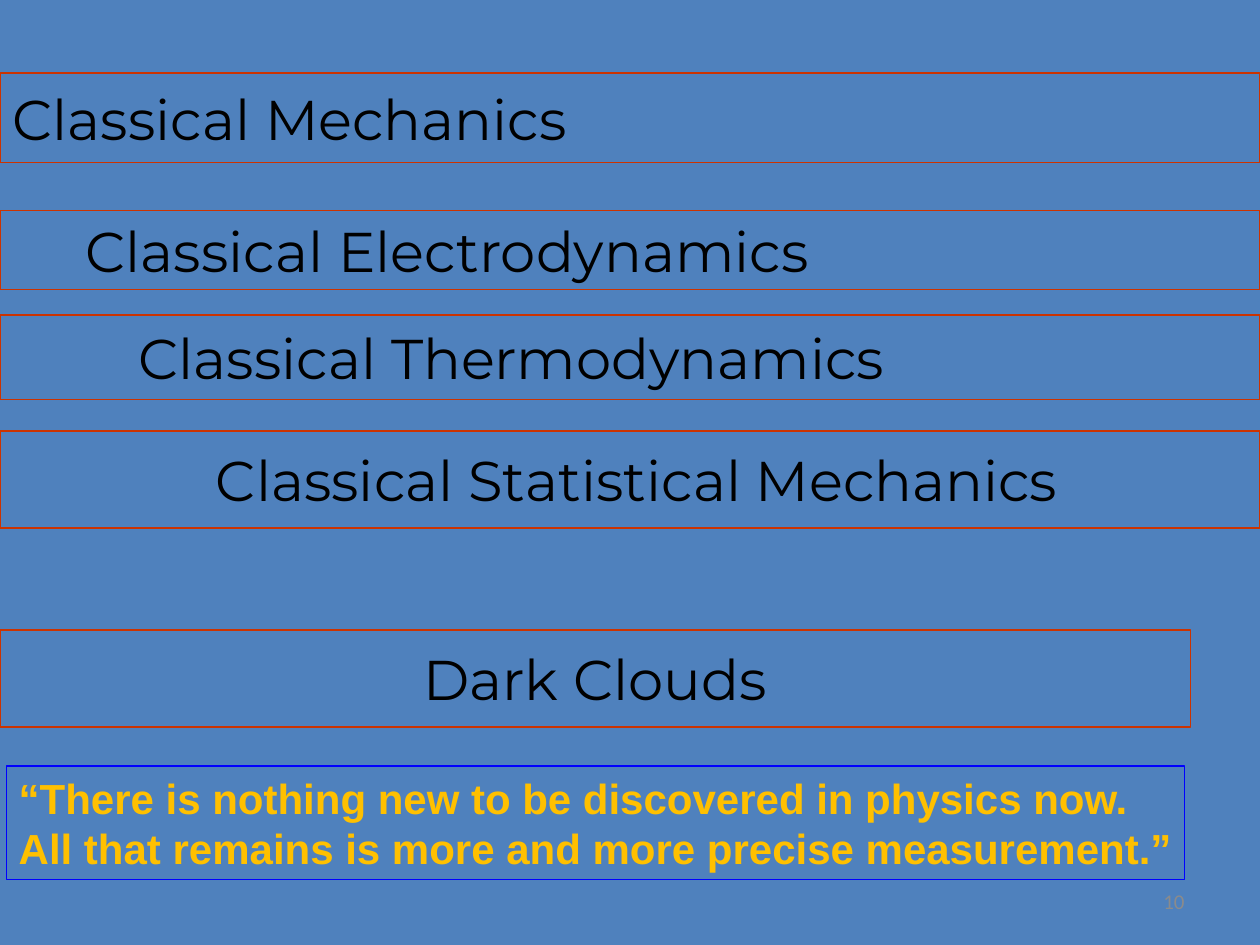
from pptx import Presentation
from pptx.dml.color import RGBColor
from pptx.enum.shapes import MSO_SHAPE
from pptx.enum.text import MSO_ANCHOR, MSO_AUTO_SIZE, PP_ALIGN
from pptx.util import Inches, Pt

COLORS = {"blue": "4F81BD", "red": "CC3300", "black": "000000",
          "frame": "0000FF", "gold": "FFC000", "gray": "8B8B8B"}
LEFT, CENTER, RIGHT = PP_ALIGN.LEFT, PP_ALIGN.CENTER, PP_ALIGN.RIGHT
TITLE = ("Classical Mechanics", 0.58, 10, 0.71, LEFT, 0)
BANDS = [
    ("Classical Electrodynamics", 1.67, 10, 0.63, LEFT, 0.58),
    ("Classical Thermodynamics", 2.5, 10, 0.67, LEFT, 1),
    ("Classical Statistical Mechanics", 3.42, 10, 0.77, CENTER, 0.11),
    ("Dark Clouds", 5, 9.45, 0.77, CENTER, 0),
]
QUOTE = ["“There is nothing new to be discovered in physics now.",
         "All that remains is more and more precise measurement.”"]
PAGE = "10"


def rgb(name):
    return RGBColor.from_string(COLORS[name])


def outline(sp, color):
    sp.line.color.rgb = rgb(color)
    sp.line.width = Pt(0.75)


def write(tf, lines, size, color, font=None, bold=False, align=LEFT):
    for i, text in enumerate(lines):
        p = tf.add_paragraph() if i else tf.paragraphs[0]
        p.alignment = align
        r = p.add_run()
        r.text = text
        r.font.size = Pt(size)
        r.font.bold = bold
        r.font.color.rgb = rgb(color)
        if font:
            r.font.name = font


def band(sp, text, top, width, height, align, indent):
    sp.left, sp.top = Inches(0), Inches(top)
    sp.width, sp.height = Inches(width), Inches(height)
    sp.fill.solid()
    sp.fill.fore_color.rgb = rgb("blue")
    outline(sp, "red")
    tf = sp.text_frame
    tf.word_wrap = True
    tf.auto_size = MSO_AUTO_SIZE.NONE
    tf.vertical_anchor = MSO_ANCHOR.MIDDLE
    tf.margin_left = Inches(0.1 + indent)
    write(tf, [text], 32, "black", "Montserrat", align=align)


def main():
    """Build the slide on classical physics and its dark clouds."""
    prs = Presentation()
    prs.slide_width, prs.slide_height = Inches(10), Inches(7.5)
    s = prs.slides.add_slide(prs.slide_layouts[5])
    s.background.fill.solid()
    s.background.fill.fore_color.rgb = rgb("blue")

    band(s.shapes.title, *TITLE)
    for item in BANDS:
        sp = s.shapes.add_shape(MSO_SHAPE.RECTANGLE, 0, 0, Inches(1), Inches(1))
        sp.shadow.inherit = False
        band(sp, *item)

    quote = s.shapes.add_textbox(Inches(0.05), Inches(6.08), Inches(9.35), Inches(0.9))
    outline(quote, "frame")
    quote.text_frame.word_wrap = False
    quote.text_frame.auto_size = MSO_AUTO_SIZE.SHAPE_TO_FIT_TEXT
    write(quote.text_frame, QUOTE, 24, "gold", "Arial", bold=True)

    page = s.shapes.add_textbox(Inches(7.17), Inches(6.95), Inches(2.33), Inches(0.4))
    page.text_frame.word_wrap = True
    page.text_frame.vertical_anchor = MSO_ANCHOR.MIDDLE
    write(page.text_frame, [PAGE], 12, "gray", align=RIGHT)

    prs.save("out.pptx")


if __name__ == "__main__":
    main()
